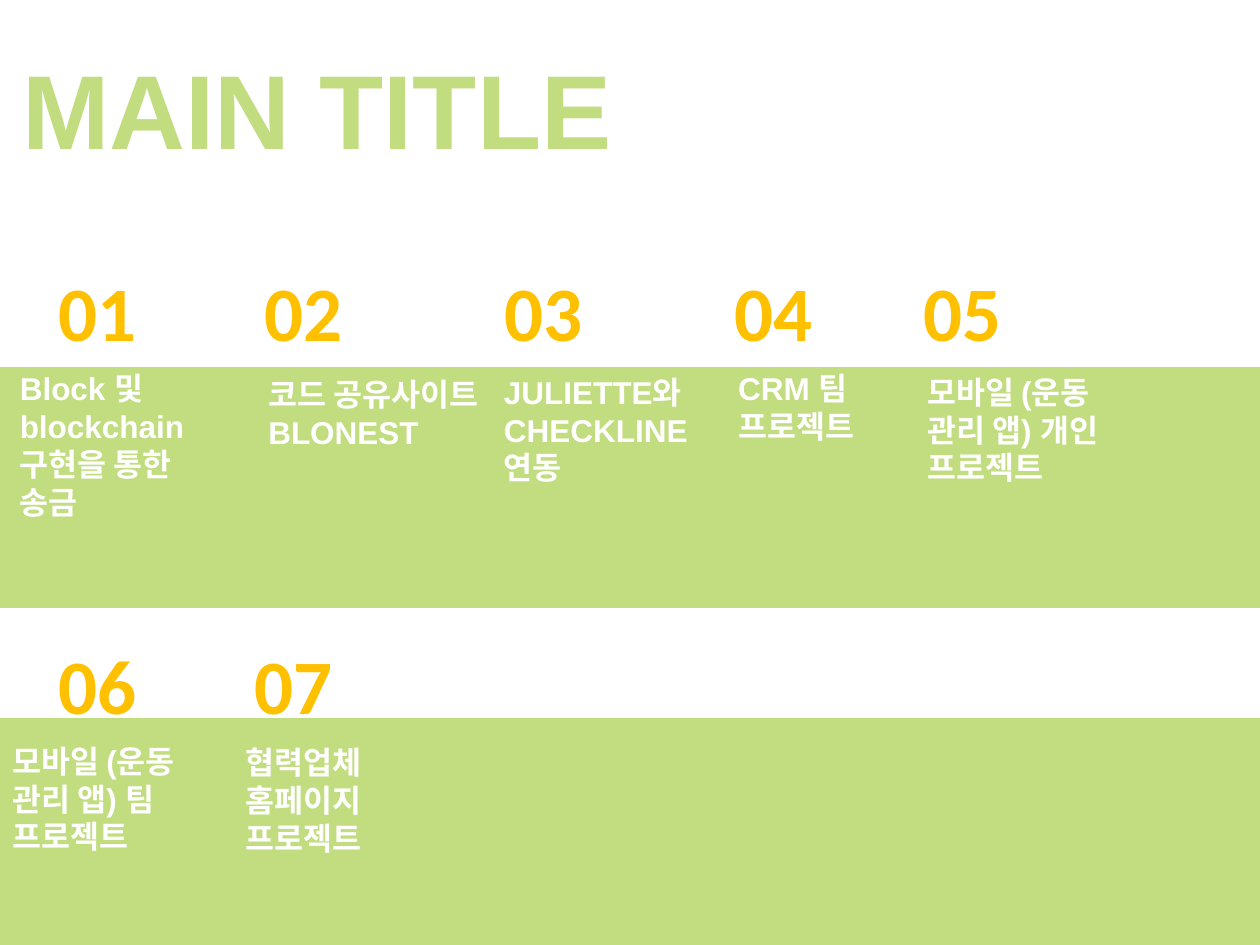
from dataclasses import dataclass

import pptx
import pptx.dml.color
import pptx.enum.shapes
import pptx.enum.text
import pptx.util
from pptx.util import Cm

GREEN, AMBER, WHITE = "C2DC80", "FFC000", "FFFFFF"


@dataclass
class Band:
    top: float
    height: float
    number_top: float


@dataclass
class Project:
    band: Band
    number_left: float
    left: float
    top: float
    width: float
    height: float
    label: str


UPPER = Band(7.42, 4.83, 5.21)
LOWER = Band(14.5, 4.65, 12.73)
PROJECTS = [
    Project(UPPER, 0.94, 0.15, 7.32, 4.55, 3.33, "Block 및 blockchain 구현을 통한 송금"),
    Project(UPPER, 5.08, 5.16, 7.44, 5, 1.8, "코드 공유사이트 BLONEST"),
    Project(UPPER, 9.93, 9.91, 7.39, 5.05, 2.57, "JULIETTE와 CHECKLINE 연동"),
    Project(UPPER, 14.55, 14.63, 7.32, 3.68, 1.8, "CRM 팀 프로젝트"),
    Project(UPPER, 18.36, 18.44, 7.39, 5, 2.57, "모바일 (운동 관리 앱) 개인 프로젝트"),
    Project(LOWER, 0.94, 0, 14.83, 4.62, 2.57, "모바일 (운동 관리 앱) 팀 프로젝트"),
    Project(LOWER, 4.88, 4.7, 14.86, 5, 1.8, "협력업체 홈페이지 프로젝트"),
]


def rgb(color: str) -> pptx.dml.color.RGBColor:
    return pptx.dml.color.RGBColor.from_string(color)


def write(sp, text: str, size: int, font: str, color: str) -> None:
    tf = sp.text_frame
    tf.word_wrap = True
    tf.auto_size = pptx.enum.text.MSO_AUTO_SIZE.NONE
    tf.vertical_anchor = pptx.enum.text.MSO_ANCHOR.TOP
    p = tf.paragraphs[0]
    p.text = text
    p.alignment = pptx.enum.text.PP_ALIGN.LEFT
    p.font.size = pptx.util.Pt(size)
    p.font.name = font
    p.font.bold = True
    p.font.color.rgb = rgb(color)


def draw_band(s, band: Band, width: int) -> None:
    sp = s.shapes.add_shape(pptx.enum.shapes.MSO_SHAPE.RECTANGLE,
                            0, Cm(band.top), width, Cm(band.height))
    sp.shadow.inherit = False
    sp.fill.solid()
    sp.fill.fore_color.rgb = rgb(GREEN)
    sp.line.color.rgb = rgb(GREEN)
    sp.line.width = pptx.util.Pt(1)


def draw_project(s, number: int, project: Project) -> None:
    sp = s.shapes.add_textbox(Cm(project.number_left), Cm(project.band.number_top),
                              Cm(3.68), Cm(2.13))
    write(sp, f"{number:02}", 44, "Calibri", AMBER)
    sp = s.shapes.add_textbox(Cm(project.left), Cm(project.top),
                              Cm(project.width), Cm(project.height))
    write(sp, project.label, 18, "Arial", WHITE)


def main() -> None:
    prs = pptx.Presentation()
    prs.slide_width, prs.slide_height = Cm(25.4), Cm(19.05)
    s = prs.slides.add_slide(prs.slide_layouts[5])

    title = s.shapes.title
    title.left, title.top = Cm(0.2), Cm(0.76)
    title.width, title.height = Cm(13.59), Cm(2.82)
    write(title, "MAIN TITLE", 60, "Arial", GREEN)

    for band in (UPPER, LOWER):
        draw_band(s, band, prs.slide_width)
    for number, project in enumerate(PROJECTS, 1):
        draw_project(s, number, project)

    prs.save("out.pptx")


if __name__ == "__main__":
    main()
